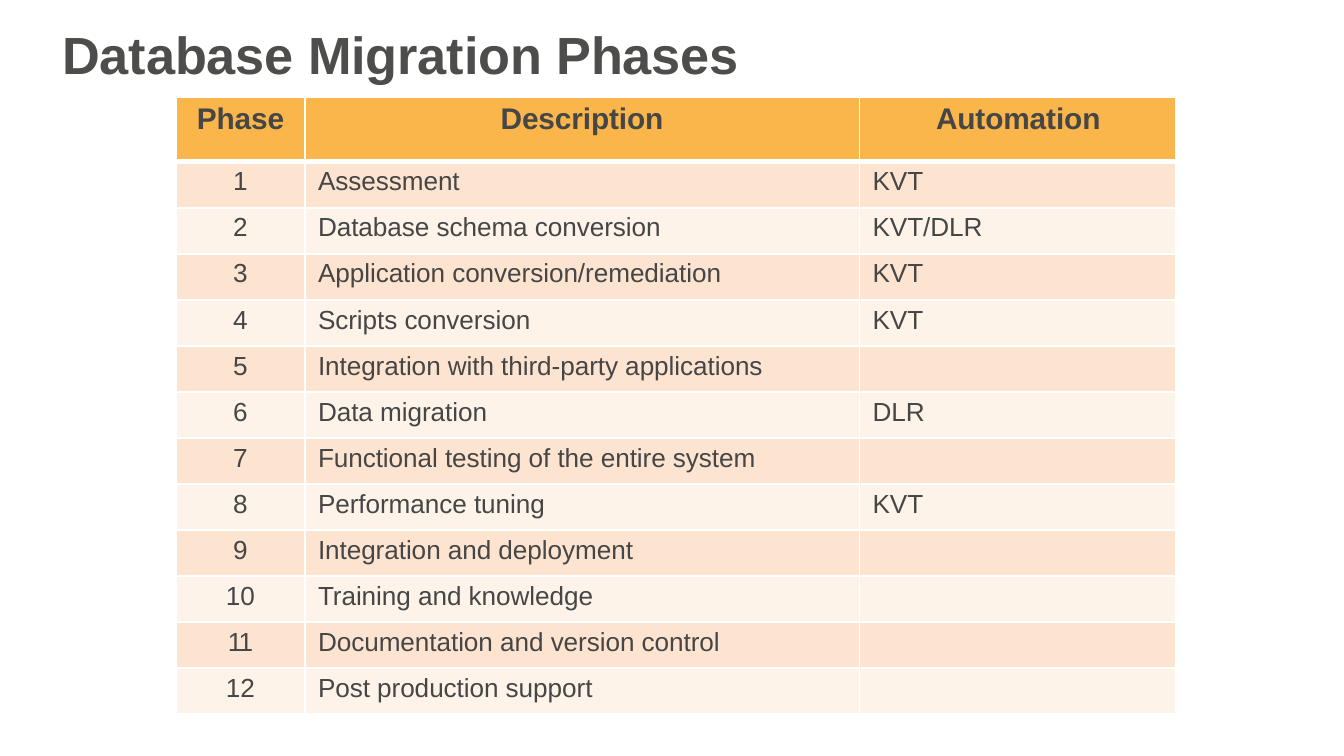
from dataclasses import dataclass

from lxml.etree import SubElement
from pptx import Presentation
from pptx.dml.color import RGBColor
from pptx.enum.text import MSO_ANCHOR as Anchor, PP_ALIGN as Align
from pptx.oxml.ns import qn
from pptx.util import Cm, Pt


@dataclass(frozen=True)
class Theme:
    font: str = "Arial"
    title_color: str = "4D4D4B"
    text_color: str = "464646"
    header_fill: str = "FBB64B"
    band_fills: tuple = ("FDE4D0", "FDF3E9")
    border_color: str = "FFFFFF"
    title_size: int = 28
    header_size: int = 16
    body_size: int = 14
    thin: int = 1
    thick: int = 3


THEME = Theme()
TITLE_BOX = (1.15, 0.4, 12.93, 1.24)
TABLE_BOX = (3.33, 1.84, 18.9, 11.66)
COLUMN_WIDTHS = (2.43, 10.48, 5.99)
HEADER_HEIGHT = 1.22
TEXT_INDENT = 0.25
AUTOMATION_INDENT = 1.45

HEADERS = ("Phase", "Description", "Automation")
PHASES = (
    ("Assessment", "KVT"),
    ("Database schema conversion", "KVT/DLR"),
    ("Application conversion/remediation", "KVT"),
    ("Scripts conversion", "KVT"),
    ("Integration with third-party applications", ""),
    ("Data migration", "DLR"),
    ("Functional testing of the entire system", ""),
    ("Performance tuning", "KVT"),
    ("Integration and deployment", ""),
    ("Training and knowledge", ""),
    ("Documentation and version control", ""),
    ("Post production support", ""),
)


def style_span(span, size, color, bold=False, spacing=-0.05):
    span.font.name = THEME.font
    span.font.size = Pt(size)
    span.font.bold = bold
    span.font.color.rgb = RGBColor.from_string(color)
    span.font._element.set("spc", str(round(spacing * 100)))


def set_indent(para, indent):
    props = para._p.get_or_add_pPr()
    props.set("marL", str(Cm(indent)))
    props.set("indent", "0")


def set_borders(cell, top, bottom):
    props = cell._tc.get_or_add_tcPr()
    widths = {"lnL": THEME.thin, "lnR": THEME.thin, "lnT": top, "lnB": bottom}
    for side, width in widths.items():
        line = SubElement(props, qn(f"a:{side}"), w=str(Pt(width)))
        fill = SubElement(line, qn("a:solidFill"))
        SubElement(fill, qn("a:srgbClr"), val=THEME.border_color)


def fill_cell(cell, text, row, column):
    header = row == 0
    size = THEME.header_size if header else THEME.body_size

    # Borders come before the fill in the cell properties
    set_borders(cell, THEME.thick if row == 1 else THEME.thin,
                THEME.thick if header else THEME.thin)
    cell.fill.solid()
    cell.fill.fore_color.rgb = RGBColor.from_string(
        THEME.header_fill if header else THEME.band_fills[(row - 1) % 2])
    cell.margin_left = cell.margin_right = cell.margin_bottom = 0
    cell.margin_top = Cm(0.1)
    cell.vertical_anchor = Anchor.TOP

    para = cell.text_frame.paragraphs[0]
    para.space_before = Pt(3.2)
    if column == 0 or (header and column == 1):
        para.alignment = Align.CENTER
    else:
        set_indent(para, AUTOMATION_INDENT if header else TEXT_INDENT)
    if text:
        para.text = text
        style_span(para.runs[0], size, THEME.text_color, header,
                   -1.1 if text == "11" else -0.05)
    else:
        # Keeps an empty cell from stretching its row
        SubElement(para._p, qn("a:endParaRPr"), sz=str(size * 100))


def add_title(page, box, text):
    frame = page.shapes.add_textbox(*map(Cm, box)).text_frame
    frame.word_wrap = True
    frame.margin_left = frame.margin_right = frame.margin_bottom = 0
    frame.margin_top = Cm(0.03)
    frame.text = text
    para = frame.paragraphs[0]
    para.space_before = Pt(0.9)
    set_indent(para, 0.03)
    style_span(para.runs[0], THEME.title_size, THEME.title_color, True)


def add_phase_table(page, box, headers, phases):
    rows = [headers] + [(str(number), *phase)
                        for number, phase in enumerate(phases, 1)]
    table = page.shapes.add_table(len(rows), len(headers), *map(Cm, box)).table
    table.first_row = table.horz_banding = False

    # Grid: fixed header, equal body rows
    body_height = (box[3] - HEADER_HEIGHT) / len(phases)
    for column, width in zip(table.columns, COLUMN_WIDTHS):
        column.width = Cm(width)
    for index, row in enumerate(table.rows):
        row.height = Cm(body_height if index else HEADER_HEIGHT)

    # Contents
    for row, texts in enumerate(rows):
        for column, text in enumerate(texts):
            fill_cell(table.cell(row, column), text, row, column)


def main():
    deck = Presentation()
    deck.slide_width, deck.slide_height = Cm(25.4), Cm(14.29)
    page = deck.slides.add_slide(deck.slide_layouts[6])
    add_phase_table(page, TABLE_BOX, HEADERS, PHASES)
    add_title(page, TITLE_BOX, "Database Migration Phases")
    deck.save("out.pptx")


if __name__ == "__main__":
    main()
